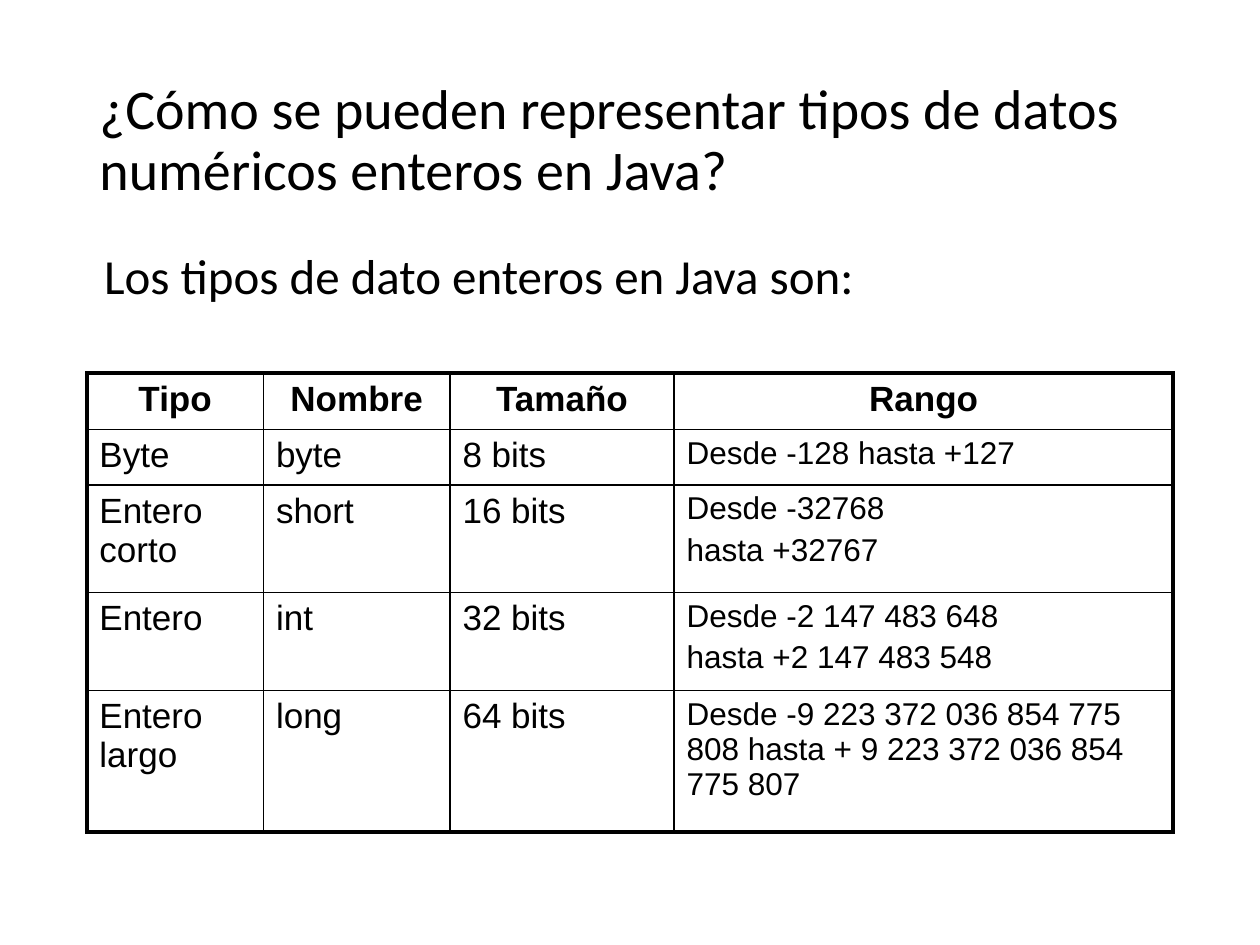
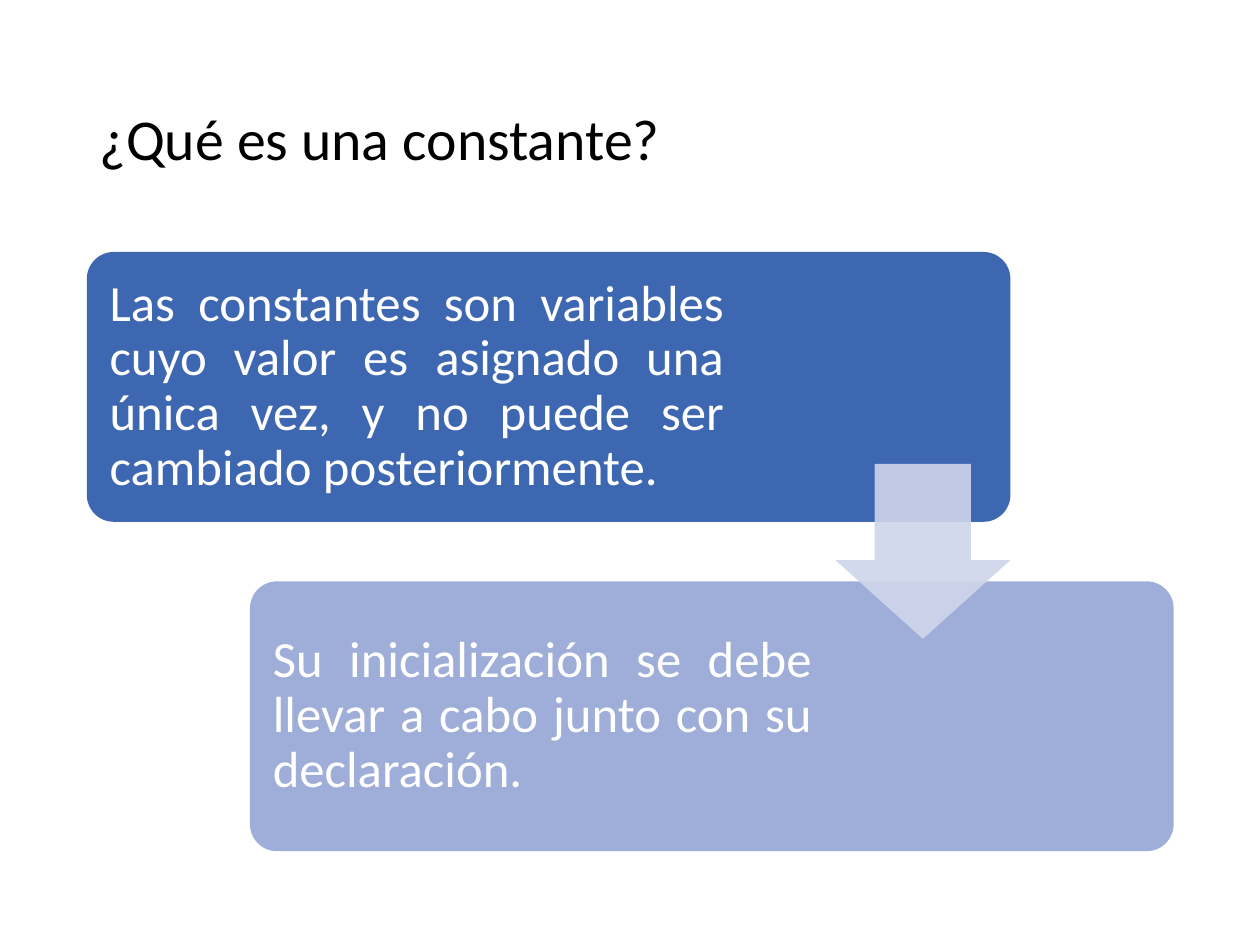
from lxml.etree import SubElement
from pptx import Presentation
from pptx.dml.color import RGBColor
from pptx.enum.shapes import MSO_SHAPE
from pptx.enum.text import MSO_ANCHOR, MSO_AUTO_SIZE, PP_ALIGN
from pptx.oxml.ns import qn
from pptx.util import Cm, Pt

BLACK = RGBColor(0x00, 0x00, 0x00)
WHITE = RGBColor(0xFF, 0xFF, 0xFF)
DARK_BLUE = RGBColor(0x3E, 0x67, 0xB2)
LIGHT_BLUE = RGBColor(0x9F, 0xAE, 0xD8)
PALE_BLUE = RGBColor(0xCF, 0xD5, 0xEA)

HEADING_FONT = "Calibri"
TABLE_FONT = "Arial"
TITLE_ONLY = 5
LEFT, CONTENT_WIDTH = 1.75, 21.9  # cm

# Integer types table
COLUMN_WIDTHS = (3.56, 3.76, 4.52, 10.06)
ROW_HEIGHTS = (1.14, 1.12, 2.16, 1.98, 2.85)
INTEGER_TYPES = (
    ("Tipo", "Nombre", "Tamaño", "Rango"),
    ("Byte", "byte", "8 bits", "Desde -128 hasta +127"),
    ("Entero corto", "short", "16 bits", "Desde -32768\nhasta +32767"),
    ("Entero", "int", "32 bits", "Desde -2 147 483 648\nhasta +2 147 483 548"),
    ("Entero largo", "long", "64 bits",
     "Desde -9 223 372 036 854 775 808 hasta + 9 223 372 036 854 775 807"),
)

# Cascade of statements: text, text width in cm, fill
STATEMENTS = (
    ("Las constantes son variables cuyo valor es asignado una única vez, "
     "y no puede ser cambiado posteriormente.", 13.0, DARK_BLUE),
    ("Su inicialización se debe llevar a cabo junto con su declaración.",
     11.48, LIGHT_BLUE),
)
CASCADE_TOP = 5.08
STEP_X, STEP_Y = 3.29, 6.64
PANEL_WIDTH, PANEL_HEIGHT, PANEL_PADDING = 18.62, 5.44, 0.16


def format_text(text_frame, name, size, color, alignment=PP_ALIGN.LEFT,
                line_spacing=None, bold=False):
    text_frame.word_wrap = True
    for paragraph in text_frame.paragraphs:
        paragraph.alignment = alignment
        paragraph.line_spacing = line_spacing
        for run in paragraph.runs:
            run.font.name = name
            run.font.size = Pt(size)
            run.font.bold = bold
            run.font.color.rgb = color


def add_titled_slide(presentation, title, size):
    slide = presentation.slides.add_slide(presentation.slide_layouts[TITLE_ONLY])
    shape = slide.shapes.title
    shape.left, shape.top = Cm(LEFT), Cm(1.02)
    shape.width, shape.height = Cm(CONTENT_WIDTH), Cm(3.68)
    text_frame = shape.text_frame
    text_frame.text = title
    text_frame.auto_size = MSO_AUTO_SIZE.NONE
    text_frame.vertical_anchor = MSO_ANCHOR.MIDDLE
    format_text(text_frame, HEADING_FONT, size, BLACK, line_spacing=0.9)
    return slide


def add_text(slide, text, left, top, width, height, size, color, **formatting):
    box = slide.shapes.add_textbox(Cm(left), Cm(top), Cm(width), Cm(height))
    box.text_frame.text = text
    format_text(box.text_frame, HEADING_FONT, size, color, **formatting)
    return box.text_frame


def set_borders(cell, widths):
    properties = cell._tc.get_or_add_tcPr()
    # Border lines must come before the fill
    for position, (side, width) in enumerate(widths.items()):
        line = SubElement(properties, qn(f"a:{side}"), w=str(Pt(width)))
        fill = SubElement(line, qn("a:solidFill"))
        SubElement(fill, qn("a:srgbClr"), val=str(BLACK))
        properties.insert(position, line)


def add_bordered_table(slide, rows, left, top):
    row_count, column_count = len(rows), len(rows[0])
    table = slide.shapes.add_table(
        row_count, column_count, Cm(left), Cm(top),
        Cm(sum(COLUMN_WIDTHS)), Cm(sum(ROW_HEIGHTS))).table
    table.horz_banding = False
    table.first_row = False
    for column, width in zip(table.columns, COLUMN_WIDTHS):
        column.width = Cm(width)
    for row, height in zip(table.rows, ROW_HEIGHTS):
        row.height = Cm(height)

    for row_index, row in enumerate(rows):
        for column_index, text in enumerate(row):
            cell = table.cell(row_index, column_index)
            is_header = row_index == 0
            is_last_column = column_index == column_count - 1
            cell.fill.background()
            cell.text_frame.text = text
            format_text(
                cell.text_frame, TABLE_FONT,
                18 if is_last_column and not is_header else 20, BLACK,
                alignment=PP_ALIGN.CENTER if is_header else PP_ALIGN.LEFT,
                bold=is_header)
            for paragraph in cell.text_frame.paragraphs[1:]:
                paragraph.space_before = Pt(3.6)
            # Thick outer frame, thin inner grid
            outer_sides = {
                "lnL": column_index == 0,
                "lnR": is_last_column,
                "lnT": is_header,
                "lnB": row_index == row_count - 1,
            }
            set_borders(cell, {side: 2.25 if outer else 1
                               for side, outer in outer_sides.items()})


def add_filled_shape(slide, kind, left, top, width, height, color, adjustments):
    shape = slide.shapes.add_shape(kind, Cm(left), Cm(top), Cm(width), Cm(height))
    shape.shadow.inherit = False
    shape.fill.solid()
    shape.fill.fore_color.rgb = color
    shape.line.fill.background()
    for index, value in enumerate(adjustments):
        shape.adjustments[index] = value
    return shape


def add_statement(slide, text, text_width, color, left, top):
    add_filled_shape(slide, MSO_SHAPE.ROUNDED_RECTANGLE, left, top,
                     PANEL_WIDTH, PANEL_HEIGHT, color, (0.1,))
    text_frame = add_text(
        slide, text, left + PANEL_PADDING, top + PANEL_PADDING, text_width,
        PANEL_HEIGHT - 2 * PANEL_PADDING, 29, WHITE,
        alignment=PP_ALIGN.JUSTIFY, line_spacing=0.9)
    text_frame.vertical_anchor = MSO_ANCHOR.MIDDLE
    text_frame.margin_left = text_frame.margin_right = Cm(0.3)
    text_frame.margin_top = text_frame.margin_bottom = Cm(0.3)


def add_down_arrow(slide, left, top, size):
    arrow = add_filled_shape(slide, MSO_SHAPE.DOWN_ARROW, left, top,
                             size, size, PALE_BLUE, (0.55, 0.45))
    color = arrow._element.spPr.find(qn("a:solidFill")).find(qn("a:srgbClr"))
    SubElement(color, qn("a:alpha"), val="90000")


def build_integer_types(presentation):
    slide = add_titled_slide(
        presentation,
        "¿Cómo se pueden representar tipos de datos numéricos enteros en Java?", 32)
    add_bordered_table(slide, INTEGER_TYPES, LEFT, 7.52)
    introduction = add_text(slide, "Los tipos de dato enteros en Java son:",
                            1.85, 4.83, 21.8, 1.45, 28, BLACK)
    introduction.auto_size = MSO_AUTO_SIZE.SHAPE_TO_FIT_TEXT


def build_constant(presentation):
    slide = add_titled_slide(presentation, "¿Qué es una constante?", 33)
    for index, (text, text_width, color) in enumerate(STATEMENTS):
        add_statement(slide, text, text_width, color,
                      LEFT + index * STEP_X, CASCADE_TOP + index * STEP_Y)
    # The arrow ends at the right edge of the first panel
    arrow_size = 3.53
    add_down_arrow(slide, LEFT + PANEL_WIDTH - arrow_size, 9.35, arrow_size)


def main():
    presentation = Presentation()
    presentation.slide_width = Cm(25.4)
    presentation.slide_height = Cm(19.05)
    build_integer_types(presentation)
    build_constant(presentation)
    presentation.save("out.pptx")


if __name__ == "__main__":
    main()
